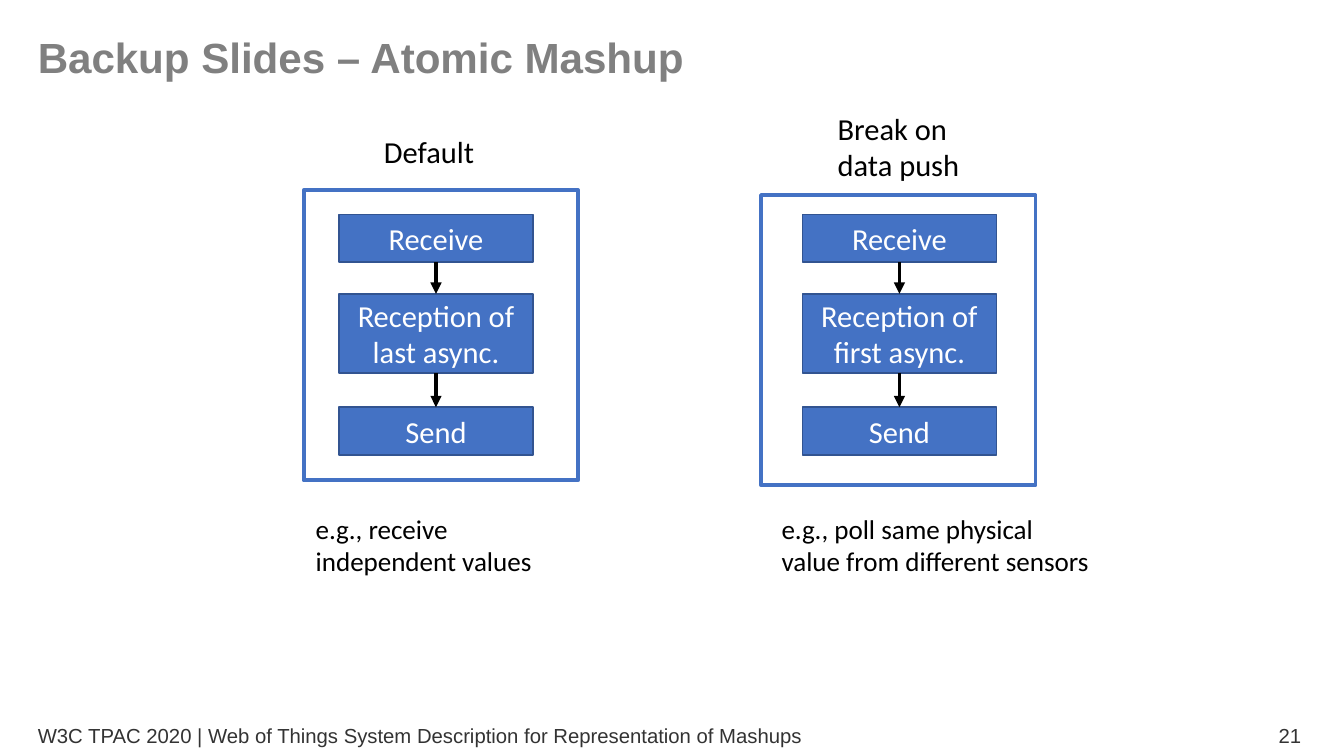
from lxml import etree
from pptx import Presentation
from pptx.dml.color import RGBColor
from pptx.enum.shapes import MSO_CONNECTOR, MSO_SHAPE
from pptx.enum.text import MSO_ANCHOR, MSO_AUTO_SIZE, PP_ALIGN
from pptx.oxml.ns import qn
from pptx.util import Inches, Pt

RECTANGLE = MSO_SHAPE.RECTANGLE
STRAIGHT = MSO_CONNECTOR.STRAIGHT
TOP, MIDDLE = MSO_ANCHOR.TOP, MSO_ANCHOR.MIDDLE
LEFT, CENTER, RIGHT = PP_ALIGN.LEFT, PP_ALIGN.CENTER, PP_ALIGN.RIGHT

COLORS = {
    "title": "808080",
    "footer": "333333",
    "text": "000000",
    "step": "4472C4",
    "step_edge": "325491",
    "step_text": "FFFFFF",
}
STEP_WIDTH = 1.59
STEP_ROWS = [(1.76, 0.39), (2.41, 0.65), (3.34, 0.39)]  # top, height
FRAME_SIZE = (2.25, 2.38)

# Each box is left, top, width, height in inches
MASHUPS = [
    {
        "heading": ("Default", (3.05, 1.04, 1.65, 0.4)),
        "frame": (2.49, 1.56),
        "steps_left": 2.78,
        "steps": ["Receive", "Reception of last async.", "Send"],
        "example": ("e.g., receive independent values", (2.49, 4.15, 2.22, 0.64)),
    },
    {
        "heading": ("Break on data push", (6.77, 0.85, 1.35, 0.71)),
        "frame": (6.24, 1.6),
        "steps_left": 6.58,
        "steps": ["Receive", "Reception of first async.", "Send"],
        "example": ("e.g., poll same physical value from different sensors",
                    (6.31, 4.15, 2.75, 0.64)),
    },
]


def rgb(name):
    return RGBColor.from_string(COLORS[name])


def inches(box):
    return [Inches(length) for length in box]


def write(shape, text, size, color, font="Calibri", bold=False,
          align=LEFT, anchor=TOP, inset=True):
    frame = shape.text_frame
    frame.auto_size = MSO_AUTO_SIZE.NONE
    frame.word_wrap = True
    frame.vertical_anchor = anchor
    if not inset:
        frame.margin_left = frame.margin_right = 0
        frame.margin_top = frame.margin_bottom = 0
    paragraph = frame.paragraphs[0]
    paragraph.alignment = align
    run = paragraph.add_run()
    run.text = text
    run.font.name = font
    run.font.size = Pt(size)
    run.font.bold = bold
    run.font.color.rgb = rgb(color)


def add_text(slide, text, box, size, color, **style):
    write(slide.shapes.add_textbox(*inches(box)), text, size, color, **style)


def add_title(slide, text, box):
    title = slide.shapes.title
    title.left, title.top, title.width, title.height = inches(box)
    write(title, text, 24.9, "title", font="Arial", bold=True,
          anchor=MIDDLE, inset=False)


def add_footer(slide, text, page, box):
    left, top, width, height = box
    page_width = 2.4
    style = {"font": "Arial", "anchor": MIDDLE, "inset": False}
    add_text(slide, text, (left, top, 7.81, height), 12, "footer", **style)
    add_text(slide, page, (left + width - page_width, top, page_width, height),
             12, "footer", align=RIGHT, **style)


def add_rectangle(slide, box, edge, weight, fill=None):
    rectangle = slide.shapes.add_shape(RECTANGLE, *inches(box))
    rectangle.shadow.inherit = False
    if fill:
        rectangle.fill.solid()
        rectangle.fill.fore_color.rgb = rgb(fill)
    else:
        rectangle.fill.background()
    rectangle.line.color.rgb = rgb(edge)
    rectangle.line.width = Pt(weight)
    return rectangle


def add_arrow(slide, upper_step, lower_step):
    # Connection sites of a rectangle: 0 is the top, 2 is the bottom
    arrow = slide.shapes.add_connector(STRAIGHT, 0, 0, 0, 0)
    arrow.begin_connect(upper_step, 2)
    arrow.end_connect(lower_step, 0)
    arrow.line.color.rgb = rgb("text")
    arrow.line.width = Pt(2.25)
    etree.SubElement(arrow.line._get_or_add_ln(), qn("a:tailEnd"), type="triangle")
    etree.SubElement(arrow._element.spPr, qn("a:effectLst"))


def add_steps(slide, labels, left):
    steps = []
    for label, (top, height) in zip(labels, STEP_ROWS):
        step = add_rectangle(slide, (left, top, STEP_WIDTH, height),
                             "step_edge", 1, fill="step")
        write(step, label, 18, "step_text", align=CENTER, anchor=MIDDLE)
        steps.append(step)
    for upper_step, lower_step in zip(steps, steps[1:]):
        add_arrow(slide, upper_step, lower_step)


def add_mashup(slide, mashup):
    add_rectangle(slide, mashup["frame"] + FRAME_SIZE, "step", 2.25)
    add_steps(slide, mashup["steps"], mashup["steps_left"])
    add_text(slide, *mashup["heading"], 18, "text")
    add_text(slide, *mashup["example"], 16, "text")


def main():
    deck = Presentation()
    deck.slide_width, deck.slide_height = inches((11.02, 6.2))
    slide = deck.slides.add_slide(deck.slide_layouts[5])

    add_title(slide, "Backup Slides – Atomic Mashup", (0.31, 0.27, 9.49, 0.39))
    for mashup in MASHUPS:
        add_mashup(slide, mashup)
    add_footer(
        slide,
        "W3C TPAC 2020 | Web of Things System Description for Representation of Mashups",
        "21", (0.31, 5.87, 10.36, 0.33))

    deck.save("out.pptx")


if __name__ == "__main__":
    main()
